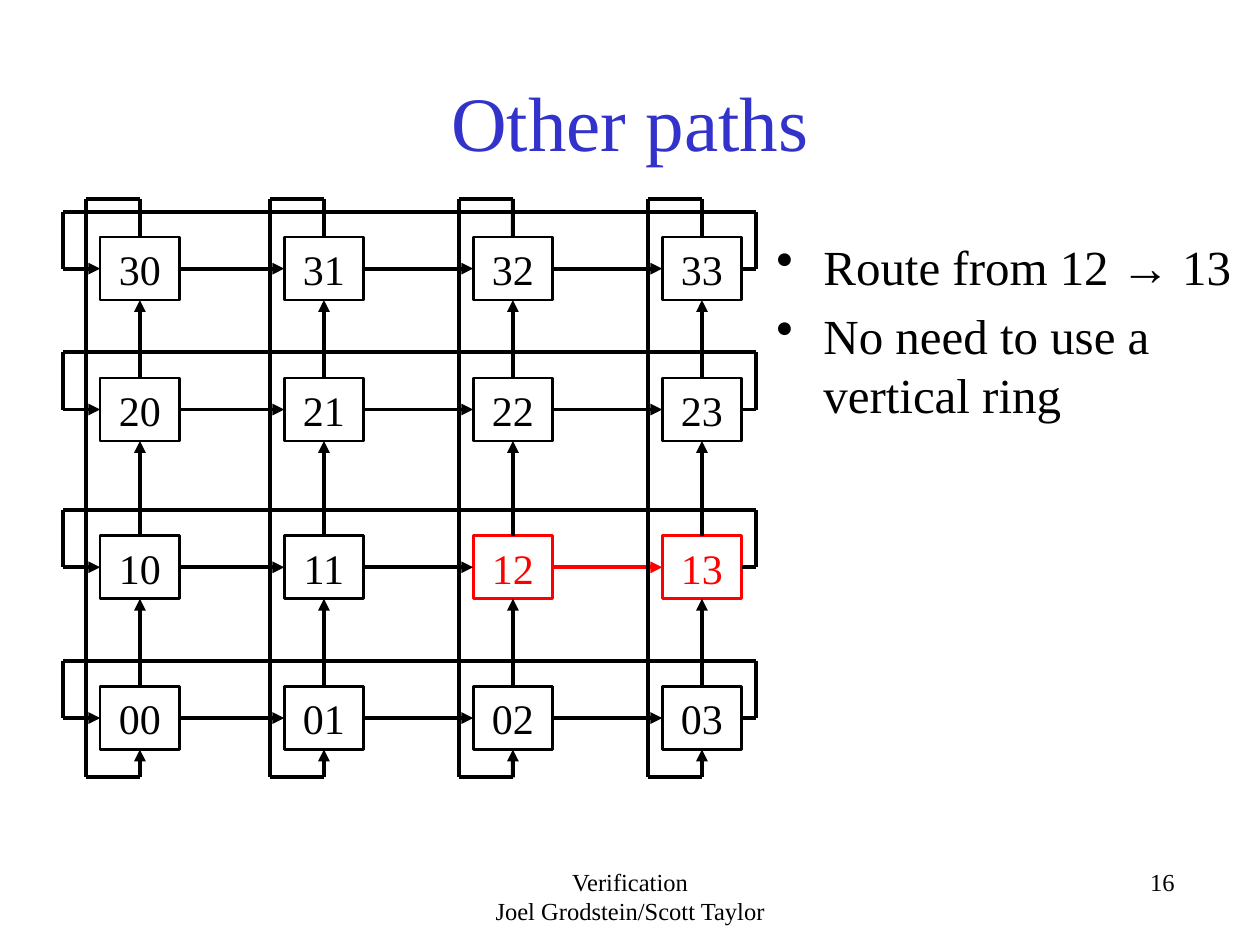
from itertools import pairwise

from lxml import etree
from pptx import Presentation
from pptx.dml.color import RGBColor
from pptx.enum.shapes import MSO_CONNECTOR, MSO_SHAPE
from pptx.enum.text import MSO_ANCHOR, PP_ALIGN
from pptx.oxml.ns import qn
from pptx.util import Cm, Pt

STRAIGHT = MSO_CONNECTOR.STRAIGHT
RECT = MSO_SHAPE.RECTANGLE
TOP, MIDDLE = MSO_ANCHOR.TOP, MSO_ANCHOR.MIDDLE
LEFT, CENTER, RIGHT = PP_ALIGN.LEFT, PP_ALIGN.CENTER, PP_ALIGN.RIGHT

FONT = "Times New Roman"
BLACK, WHITE, RED, BLUE = "000000", "FFFFFF", "FF0000", "3333CC"

# Connection sites of a rectangle
SITE_TOP, SITE_LEFT, SITE_BOTTOM, SITE_RIGHT = range(4)

# Mesh geometry in cm; rows are numbered from the bottom up
COL_LEFT = [2.02, 5.73, 9.54, 13.35]
ROW_TOP = [13.84, 10.8, 7.62, 4.78]
NODE_W, NODE_H = 1.6, 1.27
RING_LEFT, RING_RIGHT, RING_RISE = 1.27, 15.24, 1.15
RING_TOP, RING_BOTTOM, RING_OFFSET = 4.01, 15.67, 1.09
ROUTE = [(1, 2), (1, 3)]


def rgb(value):
    return RGBColor.from_string(value)


def style_text(tf, size, color, align, anchor):
    tf.word_wrap = True
    tf.vertical_anchor = anchor
    for p in tf.paragraphs:
        p.alignment = align
        for r in p.runs:
            r.font.name = FONT
            r.font.size = Pt(size)
            r.font.color.rgb = rgb(color)


def add_text(s, box, text, size, color=BLACK, align=LEFT, anchor=TOP):
    tf = s.shapes.add_textbox(*map(Cm, box)).text_frame
    tf.text = text
    style_text(tf, size, color, align, anchor)
    return tf


def add_bullets(s, box, items, size):
    tf = add_text(s, box, "\n".join(items), size)
    for i, p in enumerate(tf.paragraphs):
        pPr = p._p.get_or_add_pPr()
        pPr.set("marL", str(Cm(0.95)))
        pPr.set("indent", str(-Cm(0.95)))
        etree.SubElement(pPr, qn("a:buChar")).set("char", "•")
        if i:
            p.space_before = Pt(0.2 * size)


def add_node(s, row, col):
    color = RED if (row, col) in ROUTE else BLACK
    sp = s.shapes.add_shape(RECT, Cm(COL_LEFT[col]), Cm(ROW_TOP[row]),
                            Cm(NODE_W), Cm(NODE_H))
    sp.shadow.inherit = False
    sp.fill.solid()
    sp.fill.fore_color.rgb = rgb(WHITE)
    sp.line.color.rgb = rgb(color)
    sp.line.width = Pt(1.5)
    sp.text_frame.text = f"{row}{col}"
    style_text(sp.text_frame, 24, color, CENTER, MIDDLE)
    return sp


def add_line(s, start, end, color=BLACK, arrow=False):
    """Each end is an (x, y) point in cm or a (node, site) pair."""
    ends = [start, end]
    glued = [not isinstance(e[0], (int, float)) for e in ends]
    points = [(0, 0) if g else e for e, g in zip(ends, glued)]
    cxn = s.shapes.add_connector(STRAIGHT, *(Cm(v) for pt in points for v in pt))
    if glued[0]:
        cxn.begin_connect(*start)
    if glued[1]:
        cxn.end_connect(*end)
    cxn.line.color.rgb = rgb(color)
    cxn.line.width = Pt(2.25)
    if arrow:
        etree.SubElement(cxn.line._get_or_add_ln(), qn("a:tailEnd")).set("type", "triangle")
    etree.SubElement(cxn._element.spPr, qn("a:effectLst"))


def add_ring(s, stops):
    """Wrap-around link: straight pieces, the last one with an arrowhead."""
    pieces = list(pairwise(stops))
    for start, end in pieces:
        add_line(s, start, end, arrow=(start, end) == pieces[-1])


def add_row_links(s, nodes, row):
    for col in range(len(COL_LEFT) - 1):
        on_route = [(row, col), (row, col + 1)] == ROUTE
        add_line(s, (nodes[row, col], SITE_RIGHT), (nodes[row, col + 1], SITE_LEFT),
                 RED if on_route else BLACK, arrow=True)
    y = ROW_TOP[row] + NODE_H / 2
    add_ring(s, [(nodes[row, len(COL_LEFT) - 1], SITE_RIGHT),
                 (RING_RIGHT, y), (RING_RIGHT, y - RING_RISE),
                 (RING_LEFT, y - RING_RISE), (RING_LEFT, y),
                 (nodes[row, 0], SITE_LEFT)])


def add_column_links(s, nodes, col):
    for row in range(len(ROW_TOP) - 1):
        add_line(s, (nodes[row, col], SITE_TOP), (nodes[row + 1, col], SITE_BOTTOM),
                 arrow=True)
    x = COL_LEFT[col] + NODE_W / 2
    add_ring(s, [(nodes[len(ROW_TOP) - 1, col], SITE_TOP),
                 (x, RING_TOP), (x - RING_OFFSET, RING_TOP),
                 (x - RING_OFFSET, RING_BOTTOM), (x, RING_BOTTOM),
                 (nodes[0, col], SITE_BOTTOM)])


def main():
    prs = Presentation()
    prs.slide_width, prs.slide_height = Cm(25.4), Cm(19.05)
    s = prs.slides.add_slide(prs.slide_layouts[6])

    # Title and bullets
    add_text(s, (1.9, 0.85, 21.6, 3.17), "Other paths", 44, BLUE, CENTER, MIDDLE)
    add_bullets(s, (15.4, 4.65, 9.93, 9.17),
                ["Route from 12 → 13", "No need to use a vertical ring"], 28)

    # Mesh of nodes with row and column rings
    nodes = {(row, col): add_node(s, row, col)
             for row in range(len(ROW_TOP)) for col in range(len(COL_LEFT))}
    for row in range(len(ROW_TOP)):
        add_row_links(s, nodes, row)
    for col in range(len(COL_LEFT)):
        add_column_links(s, nodes, col)

    # Footer and slide number
    add_text(s, (8.68, 17.35, 8.05, 1.27), "Verification\nJoel Grodstein/Scott Taylor",
             14, align=CENTER)
    add_text(s, (15.88, 17.35, 8.05, 1.27), "16", 14, align=RIGHT)

    prs.save("out.pptx")


if __name__ == "__main__":
    main()
